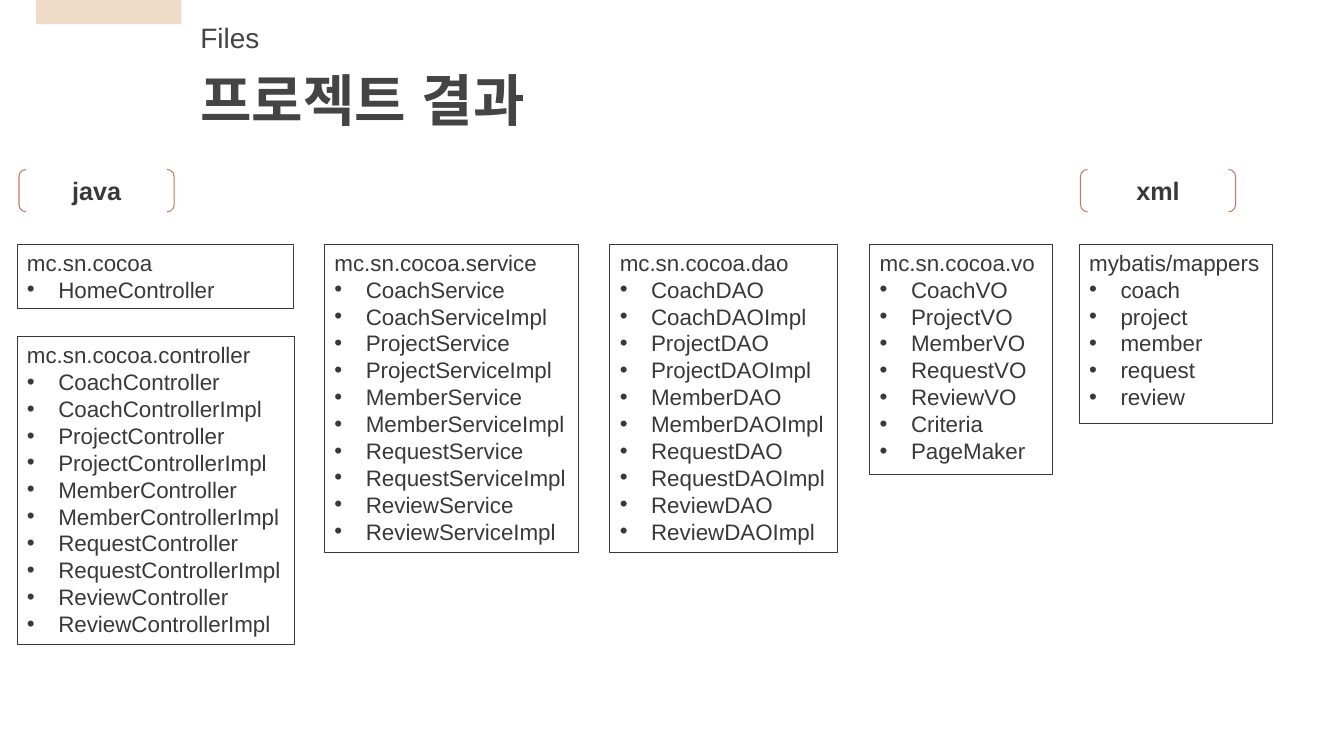
from lxml.etree import SubElement
from pptx import Presentation
from pptx.dml.color import RGBColor
from pptx.enum.shapes import MSO_SHAPE as SHAPE
from pptx.enum.text import MSO_ANCHOR as ANCHOR, PP_ALIGN as ALIGN
from pptx.oxml.ns import qn
from pptx.util import Cm, Pt

INK, GREY, SAND, RUST = "3A3838", "454444", "EFDBC7", "C87661"
DOMAINS = ["Coach", "Project", "Member", "Request", "Review"]


def color(value):
    return RGBColor.from_string(value)


def add_bullet(p):
    pPr = p._p.get_or_add_pPr()
    pPr.set("marL", str(Cm(0.79)))
    pPr.set("indent", str(-Cm(0.79)))
    clr = SubElement(pPr, qn("a:buClr"))
    SubElement(clr, qn("a:srgbClr")).set("val", INK)
    SubElement(pPr, qn("a:buFont")).set("typeface", "Arial")
    SubElement(pPr, qn("a:buChar")).set("char", "•")


def write(p, text, size=16, ink=INK, bold=False, align=ALIGN.LEFT, bullet=False):
    p.alignment = align
    if bullet:
        add_bullet(p)
    r = p.add_run()
    r.text = text
    r.font.size = Pt(size)
    r.font.name = "Arial"
    r.font.bold = bold
    r.font.color.rgb = color(ink)
    SubElement(r._r.get_or_add_rPr(), qn("a:ea")).set("typeface", "Arial")


def add_box(s, kind, box, fill=None, line=None, anchor=ANCHOR.TOP):
    sp = s.shapes.add_shape(kind, *map(Cm, box))
    sp.shadow.inherit = False
    if fill:
        sp.fill.solid()
        sp.fill.fore_color.rgb = color(fill)
    else:
        sp.fill.background()
    if line:
        sp.line.color.rgb = color(line)
        sp.line.width = Pt(0.75)
    else:
        sp.line.fill.background()
    tf = sp.text_frame
    tf.word_wrap = True
    tf.vertical_anchor = anchor
    return tf


def add_header(s, x, y, section, title):
    add_box(s, SHAPE.RECTANGLE, (x, y, 3.66, 0.61), fill=SAND)
    tf = s.shapes.add_textbox(Cm(x + 3.89), Cm(y + 0.38), Cm(3.1), Cm(1.12)).text_frame
    tf.word_wrap = True
    write(tf.paragraphs[0], section, size=20, ink=GREY)
    sp = s.shapes.title
    sp.left, sp.top, sp.width, sp.height = Cm(x + 3.89), Cm(y + 1.52), Cm(11.05), Cm(1.96)
    sp.text_frame.vertical_anchor = ANCHOR.TOP
    write(sp.text_frame.paragraphs[0], title, size=40, ink=GREY, bold=True)


def add_label(s, x, y, text):
    tf = add_box(s, SHAPE.DOUBLE_BRACKET, (x, y, 3.91, 1.07), line=RUST, anchor=ANCHOR.MIDDLE)
    write(tf.paragraphs[0], text, size=18, bold=True, align=ALIGN.CENTER)


def add_package(s, box, name, files):
    tf = add_box(s, SHAPE.RECTANGLE, box, line=INK)
    write(tf.paragraphs[0], name)
    for file in files:
        write(tf.add_paragraph(), file, bullet=True)


def with_impl(layer):
    return [d + layer + end for d in DOMAINS for end in ("", "Impl")]


def add_files_slide(prs):
    s = prs.slides.add_slide(prs.slide_layouts[5])
    add_header(s, 0.91, 0, "Files", "프로젝트 결과")
    add_label(s, 0.48, 4.27, "java")
    add_label(s, 27.23, 4.27, "xml")
    top, tall = 6.15, 7.77
    vo = [d + "VO" for d in DOMAINS] + ["Criteria", "PageMaker"]
    packages = [
        ((0.43, top, 6.96, 1.63), "mc.sn.cocoa", ["HomeController"]),
        ((0.43, 8.48, 6.99, tall), "mc.sn.cocoa.controller", with_impl("Controller")),
        ((8.18, top, 6.4, tall), "mc.sn.cocoa.service", with_impl("Service")),
        ((15.37, top, 5.74, tall), "mc.sn.cocoa.dao", with_impl("DAO")),
        ((21.92, top, 4.6, 5.82), "mc.sn.cocoa.vo", vo),
        ((27.2, top, 4.86, 4.52), "mybatis/mappers", [d.lower() for d in DOMAINS]),
    ]
    for box, name, files in packages:
        add_package(s, box, name, files)


def main():
    prs = Presentation()
    prs.slide_width, prs.slide_height = Cm(33.87), Cm(19.05)
    add_files_slide(prs)
    prs.save("out.pptx")


if __name__ == "__main__":
    main()
